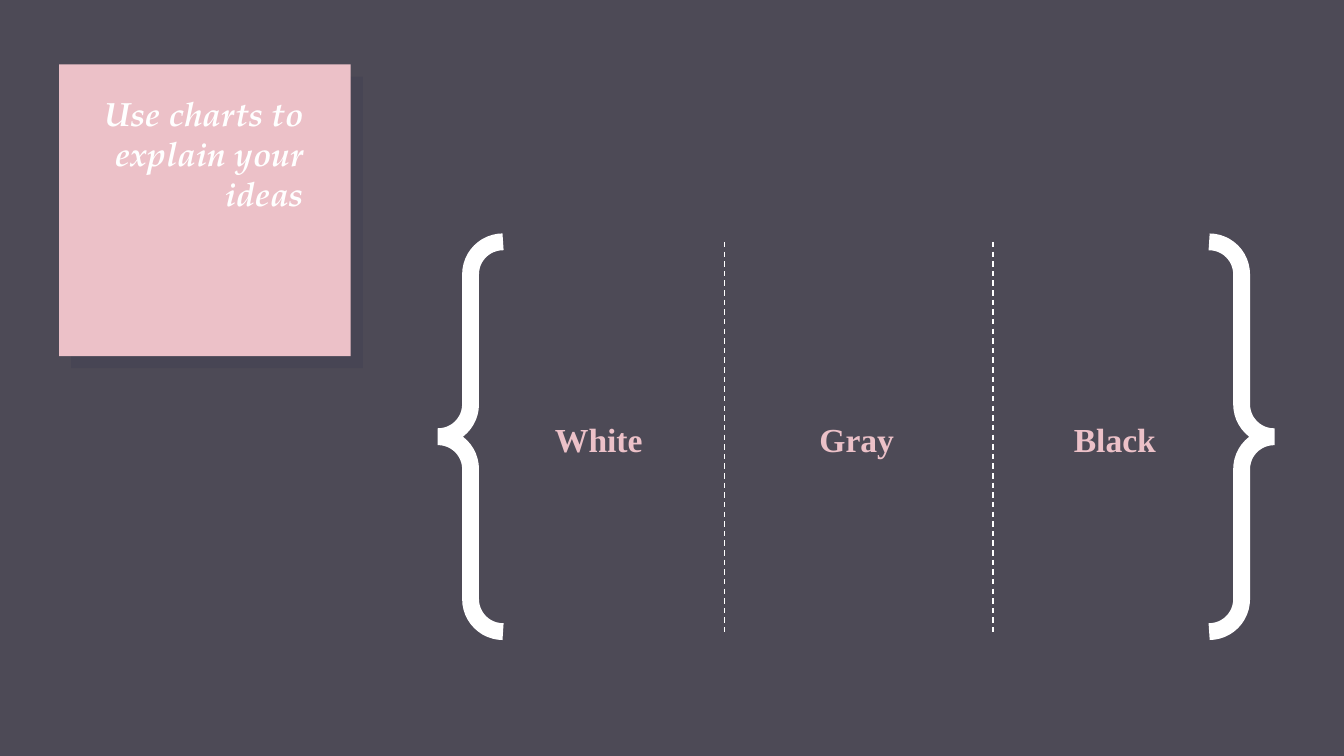
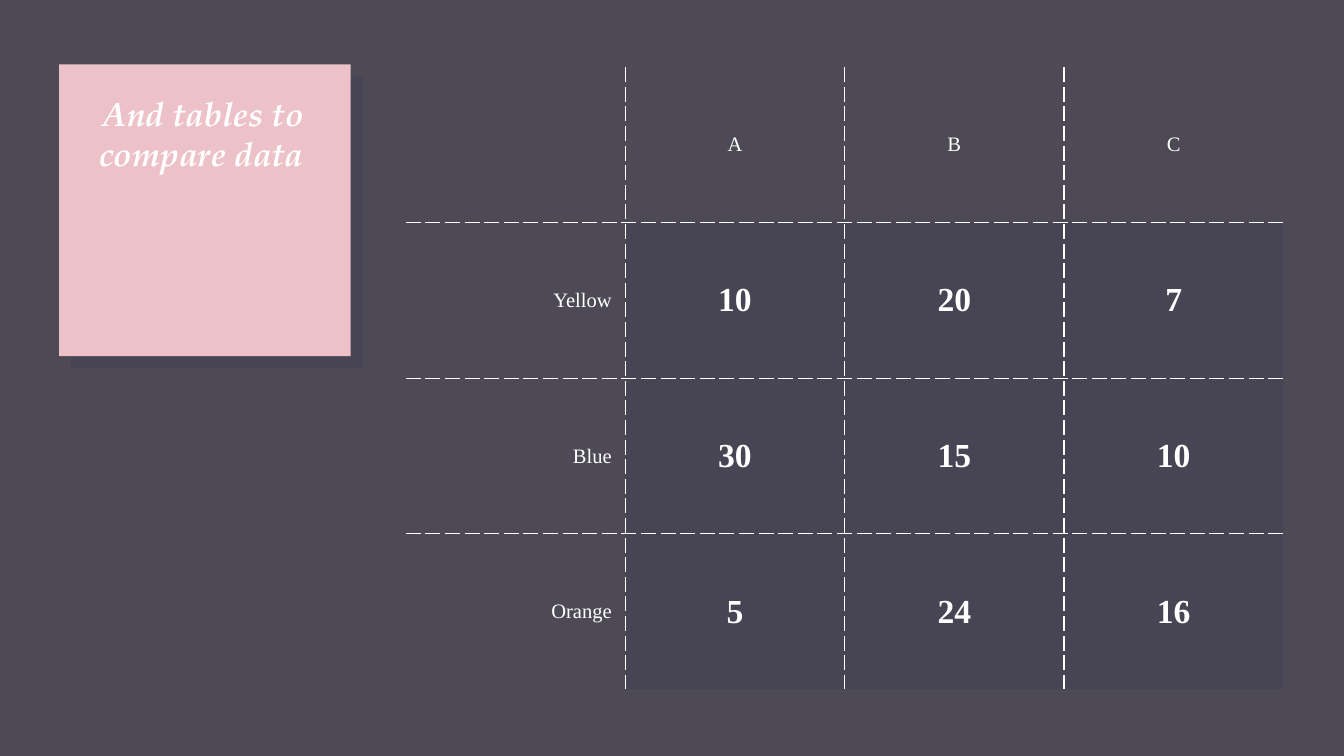
from dataclasses import dataclass
from typing import Any

from lxml import etree
from pptx import Presentation
from pptx import util as u
from pptx.dml.color import RGBColor
from pptx.enum import dml, shapes, text
from pptx.oxml import ns

COLORS = {"back": "4D4A56", "card": "ECC1C8", "shade": "1B1B46", "white": "FFFFFF"}
TITLE_FONT, BODY_FONT = "TeX Gyre Pagella", "Times New Roman"
SHADE_ALPHA = 10
LINE_WIDTH = 0.75
PLAIN_TABLE = "{2D5ABB26-0587-4C30-8999-92F81FD0307C}"
ALIGN, ANCHOR = text.PP_ALIGN, text.MSO_ANCHOR


@dataclass(frozen=True)
class Area:
    left: float
    top: float
    width: float
    height: float

    def lengths(self) -> list[u.Length]:
        return [u.Inches(v) for v in (self.left, self.top, self.width, self.height)]


@dataclass(frozen=True)
class Style:
    size: float
    color: str
    bold: bool = False
    italic: bool = False
    font: str = BODY_FONT
    align: Any = ALIGN.CENTER


TITLE = Style(18, "white", True, True, TITLE_FONT, ALIGN.RIGHT)
LABEL = Style(18, "card", True)
HEADER = Style(11, "white")
ROW_NAME = Style(11, "white", align=ALIGN.RIGHT)
VALUE = Style(18, "white", True)

CARD = Area(0.44, 0.48, 2.17, 2.17)
CARD_SHADOW = Area(0.53, 0.57, 2.17, 2.17)
TITLE_AREA = Area(0.47, 0.59, 1.89, 1.77)
BRACES = Area(3.26, 1.8, 6.22, 2.9)
GRID = Area(3.02, 0.5, 6.53, 4.63)

ROWS = [
    ["", "A", "B", "C"],
    ["Yellow", "10", "20", "7"],
    ["Blue", "30", "15", "10"],
    ["Orange", "5", "24", "16"],
]


def apply(target: Any, formats: dict[str, Any]) -> None:
    for name, value in formats.items():
        setattr(target, name, value)


def rgb(name: str) -> RGBColor:
    return RGBColor.from_string(COLORS[name])


def paint(fill: Any, color: str) -> None:
    fill.solid()
    fill.fore_color.rgb = rgb(color)


def set_alpha(element: Any, percent: int) -> None:
    color = element.find(ns.qn("a:solidFill")).find(ns.qn("a:srgbClr"))
    etree.SubElement(color, ns.qn("a:alpha"), val=str(percent * 1000))


def write(frame: Any, words: str, style: Style) -> None:
    para = frame.paragraphs[0]
    para.alignment = style.align
    span = para.add_run()
    span.text = words
    apply(span.font, {"name": style.font, "size": u.Pt(style.size),
                      "bold": style.bold, "italic": style.italic})
    span.font.color.rgb = rgb(style.color)


def set_frame(frame: Any, anchor: Any) -> None:
    sides = ("left", "right", "top", "bottom")
    apply(frame, {f"margin_{side}": u.Inches(0.1) for side in sides})
    apply(frame, {"word_wrap": True, "auto_size": text.MSO_AUTO_SIZE.NONE,
                  "vertical_anchor": anchor})


def add_square(page: Any, area: Area, color: str) -> Any:
    square = page.shapes.add_shape(shapes.MSO_SHAPE.RECTANGLE, *area.lengths())
    square.shadow.inherit = False
    paint(square.fill, color)
    square.line.fill.background()
    return square


def add_page(deck: Any, title: str) -> Any:
    page = deck.slides.add_slide(deck.slide_layouts[5])
    paint(page.background.fill, "back")
    shadow = add_square(page, CARD_SHADOW, "shade")
    set_alpha(shadow.element.spPr, SHADE_ALPHA)
    add_square(page, CARD, "card")
    box = page.shapes.title
    apply(box, dict(zip(("left", "top", "width", "height"), TITLE_AREA.lengths())))
    set_frame(box.text_frame, ANCHOR.TOP)
    write(box.text_frame, title, TITLE)
    page.shapes.element.append(box.element)
    return page


def add_braces(page: Any) -> None:
    braces = page.shapes.add_shape(shapes.MSO_SHAPE.DOUBLE_BRACE, *BRACES.lengths())
    braces.shadow.inherit = False
    braces.fill.background()
    paint(braces.line.fill, "white")
    braces.line.width = u.Pt(9)
    outline = braces.element.spPr.find(ns.qn("a:ln"))
    etree.SubElement(outline, ns.qn("a:miter"), lim="800000")


def add_divider(page: Any, left: float) -> None:
    ends = (left, BRACES.top, left, BRACES.top + BRACES.height)
    divider = page.shapes.add_connector(
        shapes.MSO_CONNECTOR.STRAIGHT, *[u.Inches(v) for v in ends])
    paint(divider.line.fill, "white")
    apply(divider.line, {"width": u.Pt(LINE_WIDTH),
                         "dash_style": dml.MSO_LINE.DASH})
    etree.SubElement(divider.element.spPr, ns.qn("a:effectLst"))


def add_label(page: Any, words: str, area: Area) -> None:
    box = page.shapes.add_textbox(*area.lengths())
    set_frame(box.text_frame, ANCHOR.MIDDLE)
    write(box.text_frame, words, LABEL)


def set_borders(cell: Any, visible: dict[str, bool]) -> None:
    props = cell._tc.get_or_add_tcPr()
    for place, (side, shown) in enumerate(visible.items()):
        line = etree.Element(ns.qn(f"a:ln{side}"), w=str(u.Pt(LINE_WIDTH)))
        if shown:
            fill = etree.SubElement(line, ns.qn("a:solidFill"))
            etree.SubElement(fill, ns.qn("a:srgbClr"), val=COLORS["white"])
            etree.SubElement(line, ns.qn("a:prstDash"), val="dash")
        else:
            etree.SubElement(line, ns.qn("a:noFill"))
        props.insert(place, line)


def add_grid(page: Any) -> None:
    last = len(ROWS) - 1
    frame = page.shapes.add_table(len(ROWS), len(ROWS[0]), *GRID.lengths())
    table = frame.table
    apply(table, {"first_row": False, "horz_banding": False})
    table._tbl.tblPr.find(ns.qn("a:tableStyleId")).text = PLAIN_TABLE
    for row, values in enumerate(ROWS):
        for column, words in enumerate(values):
            cell = table.cell(row, column)
            apply(cell, {"vertical_anchor": ANCHOR.MIDDLE,
                         "margin_left": u.Inches(0.1), "margin_right": u.Inches(0.1),
                         "margin_top": u.Inches(0.07), "margin_bottom": u.Inches(0.07)})
            if words:
                style = HEADER if row == 0 else ROW_NAME if column == 0 else VALUE
                write(cell.text_frame, words, style)
            if row and column:
                paint(cell.fill, "shade")
                set_alpha(cell._tc.tcPr, SHADE_ALPHA)
            else:
                cell.fill.background()
            set_borders(cell, {"L": column > 0, "R": column < last,
                               "T": row > 0, "B": row < last})


def main() -> None:
    deck = Presentation()
    width = u.Inches(10)
    apply(deck, {"slide_width": width, "slide_height": width * 9 // 16})

    page = add_page(deck, "Use charts to explain your ideas")
    add_braces(page)
    for left in (5.39, 7.39):
        add_divider(page, left)
    for index, words in enumerate(("White", "Gray", "Black")):
        add_label(page, words, Area(3.53 + 1.92 * index, 2.78, 1.85, 0.98))

    add_grid(add_page(deck, "And tables to compare data"))
    deck.save("out.pptx")


main()
